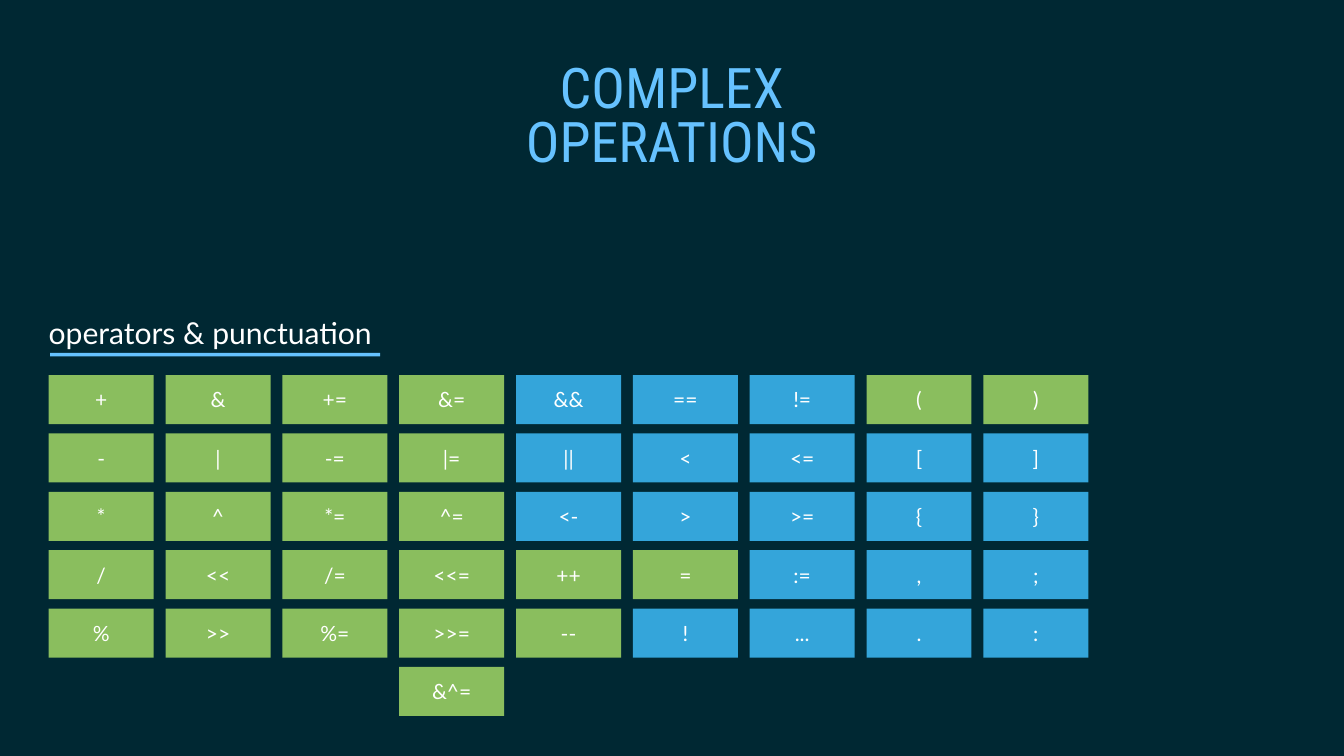
import pptx
import pptx.util
import pptx.dml.color
import pptx.enum.shapes
import pptx.enum.text

Pt = pptx.util.Pt
Align = pptx.enum.text.PP_ALIGN
Anchor = pptx.enum.text.MSO_ANCHOR
RECT = pptx.enum.shapes.MSO_SHAPE.RECTANGLE


def tint(fill, code):
    fill.solid()
    fill.fore_color.rgb = pptx.dml.color.RGBColor.from_string(code)


def write(shape, text, size, face, code, align, anchor):
    frame = shape.text_frame
    frame.word_wrap = True
    frame.vertical_anchor = anchor
    frame.margin_left = frame.margin_right = Pt(6)
    frame.margin_top = frame.margin_bottom = Pt(6)
    para = frame.paragraphs[0]
    para.alignment = align
    run = para.add_run()
    run.text = text
    run.font.size = Pt(size)
    run.font.name = face
    tint(run.font.fill, code)
    return para


deck = pptx.Presentation()
deck.slide_width = Pt(1920)
deck.slide_height = Pt(1080)
slide = deck.slides.add_slide(deck.slide_layouts[6])
tint(slide.background.fill, "002833")
shapes = slide.shapes

title = shapes.add_textbox(Pt(653), Pt(88), Pt(613.5), Pt(101.5))
para = write(title, "COMPLEX OPERATIONS", 80, "Roboto Condensed", "66C2FF",
             Align.CENTER, Anchor.TOP)
para.line_spacing = 0.8

label = shapes.add_textbox(Pt(63.5), Pt(440), Pt(493), Pt(70.5))
write(label, "operators & punctuation", 43, "Lato", "FFFFFF",
      Align.LEFT, Anchor.MIDDLE)

rule = shapes.add_shape(RECT, Pt(71.5), Pt(504), Pt(471.5), Pt(5))
rule.shadow.inherit = False
rule.line.fill.background()
tint(rule.fill, "65C2FF")

columns = [
    "+ - * / %",
    "& | ^ << >>",
    "+= -= *= /= %=",
    "&= |= ^= <<= >>= &^=",
    "&& || <- ++ --",
    "== < > = !",
    "!= <= >= := ...",
    "( [ { , .",
    ") ] } ; :",
]
blues = "&& || <- == < > ! != <= >= := ... [ { , . ] } ; :".split()

for col, signs in enumerate(columns):
    for row, sign in enumerate(signs.split()):
        tile = shapes.add_shape(RECT, Pt(69.6 + 166.9 * col),
                                Pt(535.8 + 83.4 * row), Pt(150), Pt(70))
        tile.shadow.inherit = False
        tile.line.fill.background()
        tint(tile.fill, "34A5DA" if sign in blues else "8ABE5E")
        write(tile, sign, 30, "Lato", "FFFFFF", Align.CENTER, Anchor.MIDDLE)

deck.save("out.pptx")
